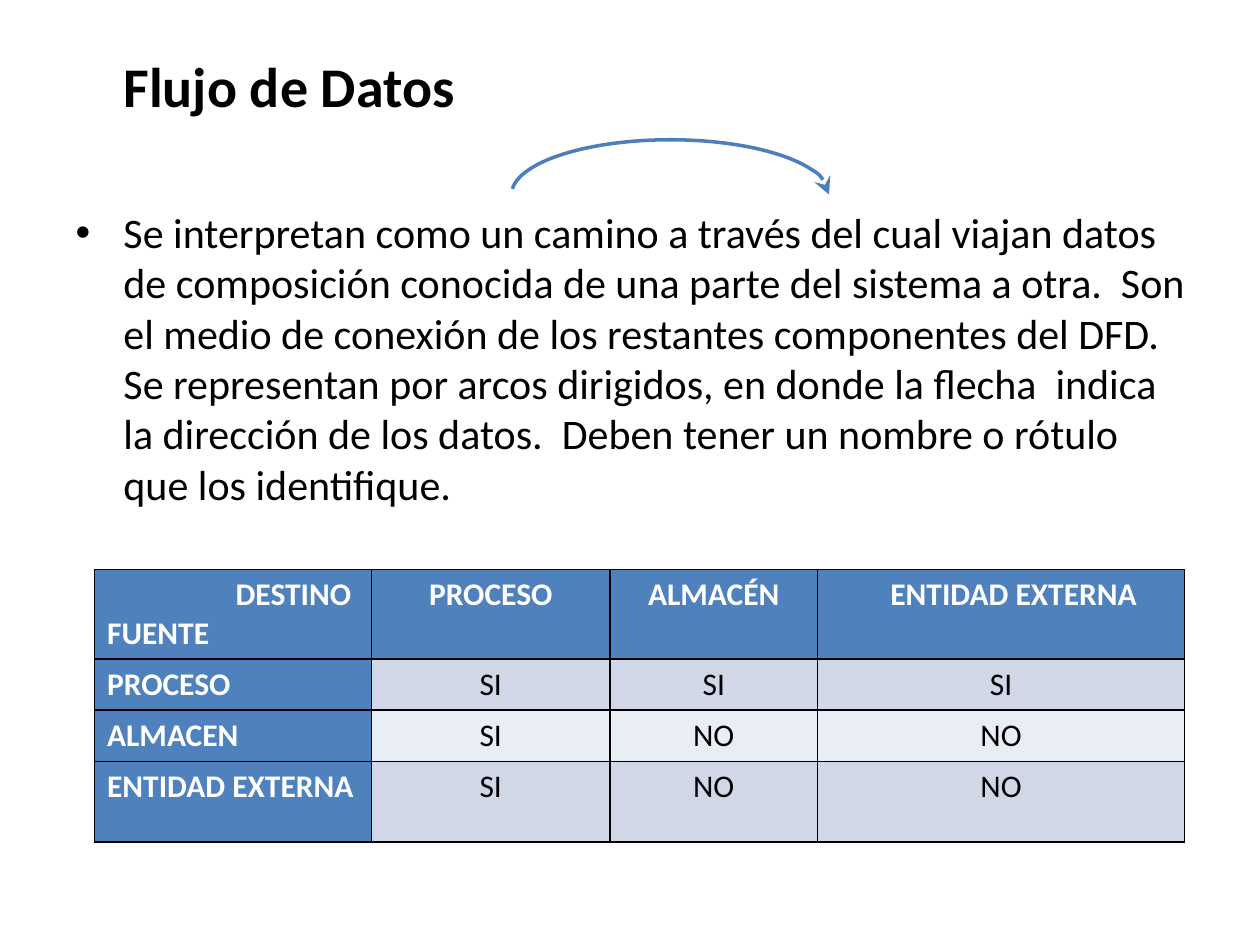
from lxml.etree import SubElement
from pptx import Presentation
from pptx.dml.color import RGBColor
from pptx.enum.shapes import MSO_SHAPE
from pptx.enum.text import MSO_ANCHOR, MSO_AUTO_SIZE, PP_ALIGN
from pptx.oxml.ns import qn
from pptx.util import Inches, Pt

BLACK = RGBColor(0x00, 0x00, 0x00)
WHITE = RGBColor(0xFF, 0xFF, 0xFF)
BLUE = RGBColor(0x4F, 0x81, 0xBD)
ARC = RGBColor(0x4B, 0x7E, 0xBC)
BANDS = [RGBColor(0xD0, 0xD8, 0xE8), RGBColor(0xE9, 0xED, 0xF4)]
FONT = "Calibri"

TITLE = "Flujo de Datos"
TEXT = (
    "Se interpretan como un camino a través del cual viajan datos de "
    "composición conocida de una parte del sistema a otra.  Son el medio de "
    "conexión de los restantes componentes del DFD.   Se representan por arcos "
    "dirigidos, en donde la flecha  indica la dirección de los datos.  Deben "
    "tener un nombre o rótulo que los identifique."
)
ROWS = [
    ["DESTINO\nFUENTE", "PROCESO", "ALMACÉN", "ENTIDAD EXTERNA"],
    ["PROCESO", "SI", "SI", "SI"],
    ["ALMACEN", "SI", "NO", "NO"],
    ["ENTIDAD EXTERNA", "SI", "NO", "NO"],
]
WIDTHS = [2.2, 1.89, 1.65, 2.91]
HEIGHTS = [0.64, 0.37, 0.37, 0.64]


def add_run(para, text, size, color, bold=False):
    run = para.add_run()
    run.text = text
    font = run.font
    font.name, font.size, font.bold = FONT, Pt(size), bold
    font.color.rgb = color


def indent(para, left, first=0):
    props = para._p.get_or_add_pPr()
    props.set("marL", str(Inches(left)))
    props.set("indent", str(Inches(first)))
    return props


def add_body(slide, box):
    body = slide.placeholders[1]
    body.left, body.top, body.width, body.height = box
    frame = body.text_frame
    frame.word_wrap = True
    frame.auto_size = MSO_AUTO_SIZE.NONE
    frame.margin_right = Inches(0.08)

    # Heading without bullet
    head = frame.paragraphs[0]
    SubElement(indent(head, 0.38), qn("a:buNone"))
    add_run(head, TITLE, 32, BLACK, True)

    # Bulleted definition
    item = frame.add_paragraph()
    item.space_before = Pt(50)
    SubElement(indent(item, 0.38, -0.38), qn("a:buChar"), char="•")
    add_run(item, TEXT, 24, BLACK)


def add_border(cell):
    props = cell._tc.get_or_add_tcPr()
    for side in ("lnL", "lnR", "lnT", "lnB"):
        line = SubElement(props, qn(f"a:{side}"), w=str(Pt(1)))
        fill = SubElement(line, qn("a:solidFill"))
        SubElement(fill, qn("a:srgbClr"), val=str(BLACK))


def fill_cell(cell, text, row, col):
    head = row == 0 or col == 0
    add_border(cell)
    cell.fill.solid()
    cell.fill.fore_color.rgb = BLUE if head else BANDS[(row - 1) % 2]
    cell.vertical_anchor = MSO_ANCHOR.TOP
    frame = cell.text_frame
    for num, line in enumerate(text.split("\n")):
        para = frame.add_paragraph() if num else frame.paragraphs[0]
        para.alignment = PP_ALIGN.CENTER if col else PP_ALIGN.LEFT
        add_run(para, line, 18, WHITE if head else BLACK, head)


def add_grid(slide, box):
    table = slide.shapes.add_table(len(ROWS), len(WIDTHS), *box).table
    for col, width in zip(table.columns, WIDTHS):
        col.width = Inches(width)
    for row, height in zip(table.rows, HEIGHTS):
        row.height = Inches(height)
    for row, texts in enumerate(ROWS):
        for col, text in enumerate(texts):
            fill_cell(table.cell(row, col), text, row, col)
    # Shifted header labels
    indent(table.cell(0, 0).text_frame.paragraphs[0], 1.02)
    indent(table.cell(0, 3).text_frame.paragraphs[0], 0.2)


def add_arc(slide, box):
    arc = slide.shapes.add_shape(MSO_SHAPE.ARC, *box)
    arc.shadow.inherit = False
    arc.adjustments[0] = 109.257
    arc.adjustments[1] = 0
    arc.fill.background()
    arc.line.color.rgb = ARC
    arc.line.width = Pt(2)
    line = arc.line._get_or_add_ln()
    SubElement(line, qn("a:tailEnd"), type="stealth", w="lg", len="lg")


def main():
    prs = Presentation()
    prs.slide_width, prs.slide_height = Inches(10), Inches(7.5)
    slide = prs.slides.add_slide(prs.slide_layouts[1])
    # The heading sits in the body, so the title goes
    title = slide.shapes.title._element
    title.getparent().remove(title)

    add_body(slide, [Inches(n) for n in (0.5, 0.36, 9, 6.34)])
    add_grid(slide, [Inches(n) for n in (0.75, 4.52, 8.66, 2.14)])
    add_arc(slide, [Inches(n) for n in (4.06, 1.11, 2.52, 0.87)])
    prs.save("out.pptx")


if __name__ == "__main__":
    main()
